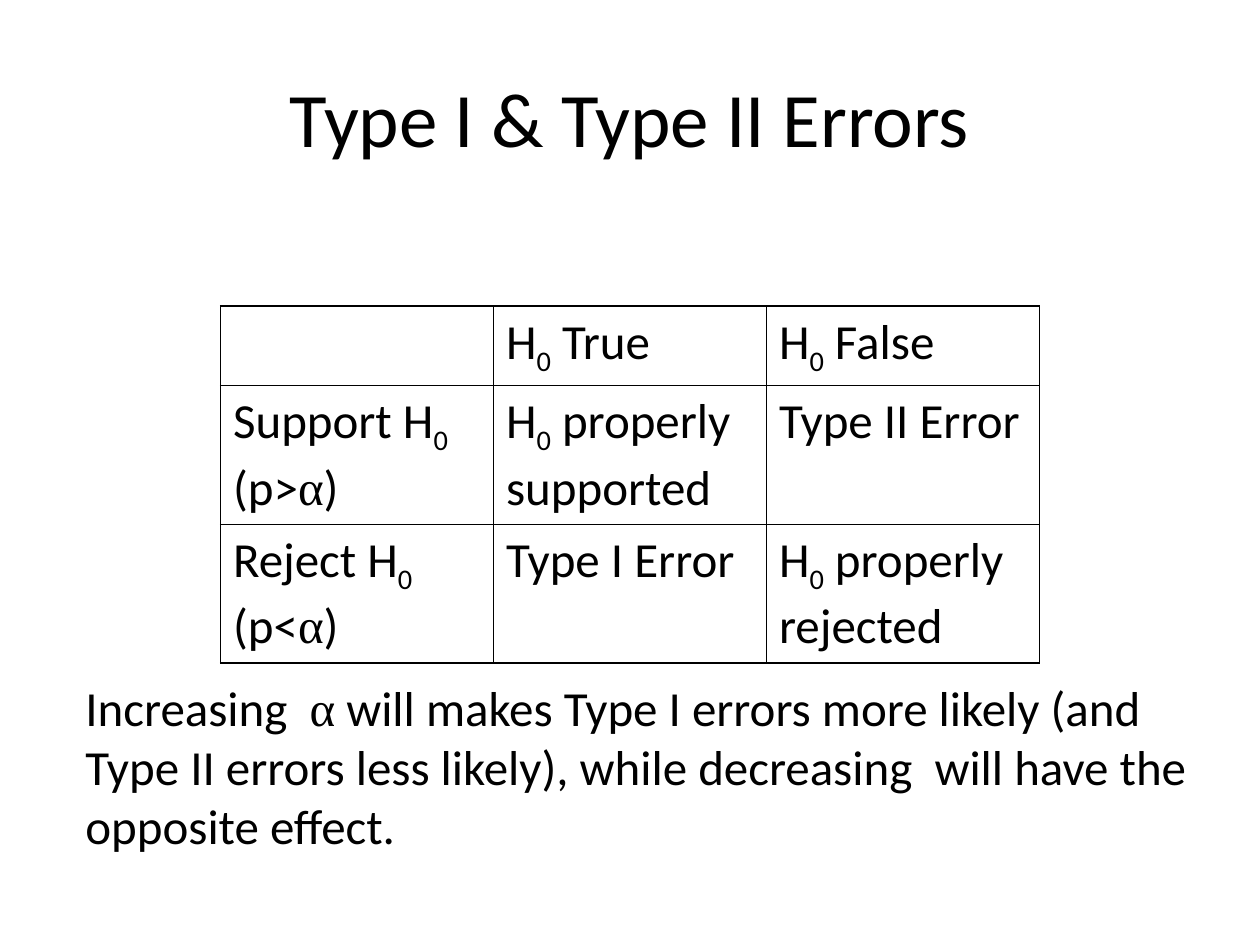
from lxml import etree
from pptx import Presentation
from pptx.dml.color import RGBColor
from pptx.enum.text import MSO_ANCHOR, PP_ALIGN
from pptx.oxml.ns import qn
from pptx.util import Inches, Pt

CENTER, LEFT = PP_ALIGN.CENTER, PP_ALIGN.LEFT
MIDDLE, TOP = MSO_ANCHOR.MIDDLE, MSO_ANCHOR.TOP

BLACK = "000000"
BODY_FONT, GREEK_FONT = "Calibri", "Times New Roman"
BODY_SIZE, TITLE_SIZE = 28, 44

# Content: each text is a list of runs
SUB_ZERO = "₀"  # stands for a run of "0" set as subscript
TITLE = ["Type I & Type II Errors"]
OUTCOMES = [
    [[], ["H", SUB_ZERO, " True"], ["H", SUB_ZERO, " False"]],
    [["Support H", SUB_ZERO, " (p>", "α", ")"],
     ["H", SUB_ZERO, " properly supported"],
     ["Type II Error"]],
    [["Reject H", SUB_ZERO, " (p<", "α", ")"],
     ["Type I Error"],
     ["H", SUB_ZERO, " properly rejected"]],
]
CONCLUSION = [
    "Increasing  ", "α",
    " will makes Type I errors more likely (and Type II errors less likely), "
    "while decreasing  will have the opposite effect.",
]

# Layout in inches
TITLE_BOX = (0.5, 0.3, 9, 1.25)
TABLE_LEFT, TABLE_TOP, TABLE_WIDTH = 1.75, 2.43, 6.5
ROW_HEIGHTS = [0.63, 1.1, 1.1]
CONCLUSION_BOX = (0.58, 5.33, 9, 1.82)


def color(value):
    return RGBColor.from_string(value)


def write(frame, runs, size=BODY_SIZE, align=LEFT):
    paragraph = frame.paragraphs[0]
    paragraph.alignment = align
    for text in runs:
        run = paragraph.add_run()
        run.text = "0" if text == SUB_ZERO else text
        run.font.size = Pt(size)
        run.font.name = GREEK_FONT if text == "α" else BODY_FONT
        run.font.color.rgb = color(BLACK)
        if text == SUB_ZERO:
            run.font._element.set("baseline", "-25000")


def add_text(slide, box, runs, size=BODY_SIZE, align=LEFT, anchor=TOP):
    frame = slide.shapes.add_textbox(*map(Inches, box)).text_frame
    frame.word_wrap = True
    frame.vertical_anchor = anchor
    write(frame, runs, size, align)


def add_borders(cell, line_color, width):
    properties = cell._tc.get_or_add_tcPr()
    for position, side in enumerate(("lnL", "lnR", "lnT", "lnB")):
        line = etree.Element(qn("a:" + side), w=str(Pt(width)))
        fill = etree.SubElement(line, qn("a:solidFill"))
        etree.SubElement(fill, qn("a:srgbClr"), val=line_color)
        properties.insert(position, line)


def add_outcome_table(slide):
    columns = len(OUTCOMES[0])
    table = slide.shapes.add_table(
        len(OUTCOMES), columns, Inches(TABLE_LEFT), Inches(TABLE_TOP),
        Inches(TABLE_WIDTH), Inches(sum(ROW_HEIGHTS))).table
    table.first_row = table.horz_banding = False
    for column in table.columns:
        column.width = Inches(TABLE_WIDTH / columns)
    for row, height, texts in zip(table.rows, ROW_HEIGHTS, OUTCOMES):
        row.height = Inches(height)
        for cell, runs in zip(row.cells, texts):
            cell.fill.background()
            add_borders(cell, BLACK, 1)
            write(cell.text_frame, runs)


def main():
    deck = Presentation()
    deck.slide_width, deck.slide_height = Inches(10), Inches(7.5)
    slide = deck.slides.add_slide(deck.slide_layouts[6])
    add_text(slide, TITLE_BOX, TITLE, TITLE_SIZE, CENTER, MIDDLE)
    add_outcome_table(slide)
    add_text(slide, CONCLUSION_BOX, CONCLUSION)
    deck.save("out.pptx")


if __name__ == "__main__":
    main()
